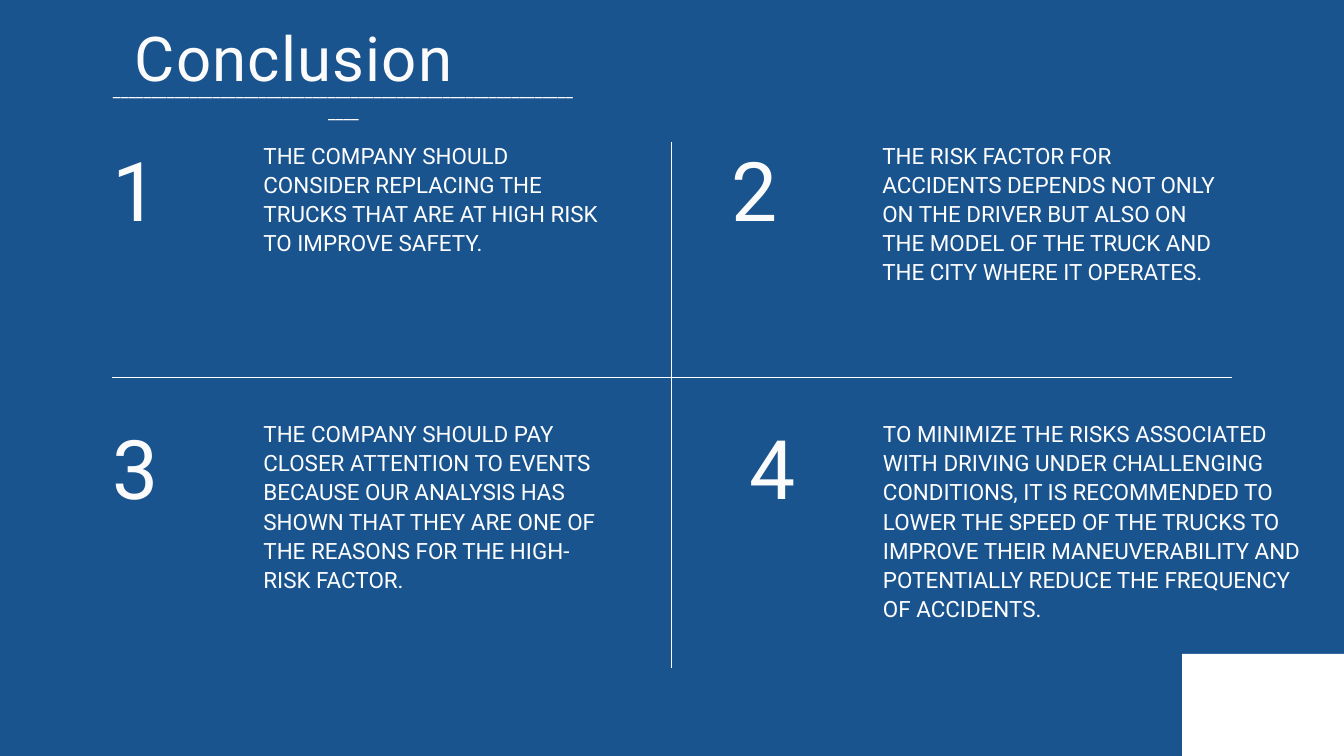
from dataclasses import dataclass

import pptx
import pptx.dml.color
import pptx.enum.shapes
import pptx.enum.text
import pptx.slide
import pptx.util
from pptx.util import Inches

COLORS = {"background": "1A548F", "white": "FFFFFF", "soft_white": "FBFBFB"}
FONT = "Roboto"
ALIGN = pptx.enum.text.PP_ALIGN


@dataclass
class TextStyle:
    size: float
    line_spacing: float
    color: str
    alignment: ALIGN = ALIGN.LEFT
    letter_spacing: float = 0


@dataclass
class Point:
    number: str
    number_left: float
    text_left: float
    text_width: float
    text_height: float
    row_top: float
    text: str
    number_alignment: ALIGN = ALIGN.LEFT


TITLE = TextStyle(66.2, 92.7, "soft_white", ALIGN.CENTER, 1.3)
RULE = TextStyle(18.2, 23.6, "soft_white", ALIGN.CENTER)
BODY = TextStyle(24, 31.2, "white")

POINTS = [
    Point("1", 1.67, 3.92, 5.2, 1.71, 2.08,
          "THE COMPANY SHOULD CONSIDER REPLACING THE TRUCKS THAT ARE AT HIGH RISK "
          "TO IMPROVE SAFETY."),
    Point("2", 10.88, 13.13, 5.2, 2.56, 2.08,
          "THE RISK FACTOR FOR ACCIDENTS DEPENDS NOT ONLY ON THE DRIVER BUT ALSO ON "
          "THE MODEL OF THE TRUCK AND THE CITY WHERE IT OPERATES."),
    Point("3", 1.67, 3.92, 5.2, 2.99, 6.22,
          "THE COMPANY SHOULD PAY CLOSER ATTENTION TO EVENTS BECAUSE OUR ANALYSIS HAS "
          "SHOWN THAT THEY ARE ONE OF THE REASONS FOR THE HIGH-RISK FACTOR."),
    Point("4", 10.73, 13.14, 6.26, 3.41, 6.22,
          "TO MINIMIZE THE RISKS ASSOCIATED WITH DRIVING UNDER CHALLENGING CONDITIONS, "
          "IT IS RECOMMENDED TO LOWER THE SPEED OF THE TRUCKS TO IMPROVE THEIR "
          "MANEUVERABILITY AND POTENTIALLY REDUCE THE FREQUENCY OF ACCIDENTS.",
          ALIGN.CENTER),
]


def rgb(name: str) -> pptx.dml.color.RGBColor:
    return pptx.dml.color.RGBColor.from_string(COLORS[name])


def add_text(slide: pptx.slide.Slide, left: float, top: float, width: float,
             height: float, text: str, style: TextStyle) -> None:
    box = slide.shapes.add_textbox(Inches(left), Inches(top), Inches(width), Inches(height))
    frame = box.text_frame
    frame.word_wrap = True
    frame.auto_size = pptx.enum.text.MSO_AUTO_SIZE.SHAPE_TO_FIT_TEXT
    frame.margin_left = frame.margin_right = frame.margin_top = frame.margin_bottom = 0
    paragraph = frame.paragraphs[0]
    paragraph.alignment = style.alignment
    paragraph.line_spacing = pptx.util.Pt(style.line_spacing)
    run = paragraph.add_run()
    run.text = text
    run.font.name = FONT
    run.font.size = pptx.util.Pt(style.size)
    run.font.color.rgb = rgb(style.color)
    if style.letter_spacing:
        run.font._element.set("spc", str(round(style.letter_spacing * 100)))


def add_divider(slide: pptx.slide.Slide, start_x: float, start_y: float,
                end_x: float, end_y: float) -> None:
    line = slide.shapes.add_connector(
        pptx.enum.shapes.MSO_CONNECTOR.STRAIGHT,
        Inches(start_x), Inches(start_y), Inches(end_x), Inches(end_y))
    line.line.color.rgb = rgb("white")
    line.line.width = pptx.util.Pt(0.75)
    line._element.spPr.append(pptx.oxml.parse_xml(
        '<a:effectLst xmlns:a="http://schemas.openxmlformats.org/drawingml/2006/main"/>'))


def add_point(slide: pptx.slide.Slide, point: Point) -> None:
    number_style = TextStyle(88, 96.8, "soft_white", point.number_alignment)
    add_text(slide, point.number_left, point.row_top + 0.11, 1.54, 1.38,
             point.number, number_style)
    add_text(slide, point.text_left, point.row_top, point.text_width,
             point.text_height, point.text, BODY)


def main() -> None:
    presentation = pptx.Presentation()
    presentation.slide_width = Inches(20)
    presentation.slide_height = Inches(11.25)
    slide = presentation.slides.add_slide(presentation.slide_layouts[6])
    slide.background.fill.solid()
    slide.background.fill.fore_color.rgb = rgb("background")

    # Cross that divides the four points
    add_divider(slide, 1.67, 5.61, 18.33, 5.61)
    add_divider(slide, 9.99, 9.94, 9.99, 2.11)

    # Corner block
    corner = slide.shapes.add_shape(
        pptx.enum.shapes.MSO_SHAPE.RECTANGLE,
        Inches(17.59), Inches(9.73), Inches(2.41), Inches(1.52))
    corner.shadow.inherit = False
    corner.fill.solid()
    corner.fill.fore_color.rgb = rgb("white")
    corner.line.fill.background()

    # Numbered conclusions
    for point in POINTS:
        add_point(slide, point)

    # Title and its underscore rule
    add_text(slide, 1.8, 0.11, 5.15, 1.23, "Conclusion", TITLE)
    add_text(slide, 1.67, 1.18, 6.88, 0.31, "_" * 64, RULE)

    presentation.save("out.pptx")


if __name__ == "__main__":
    main()
